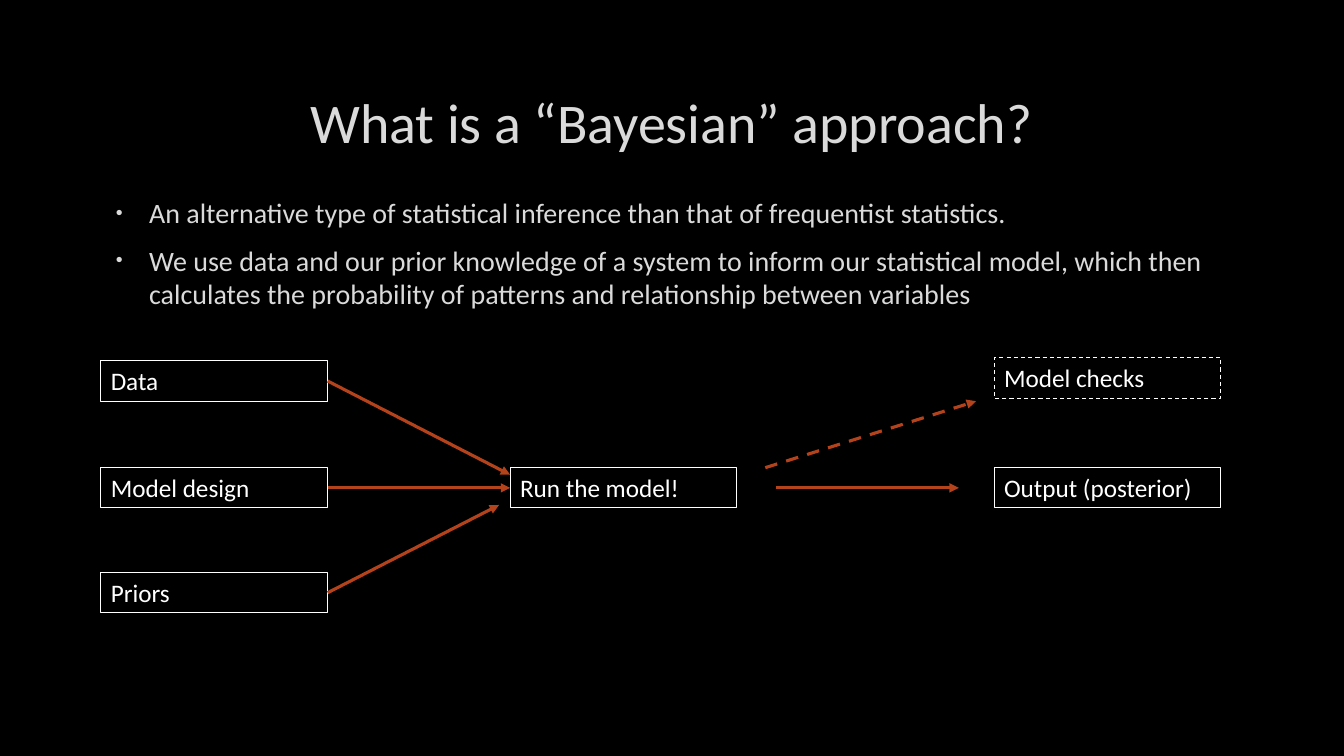
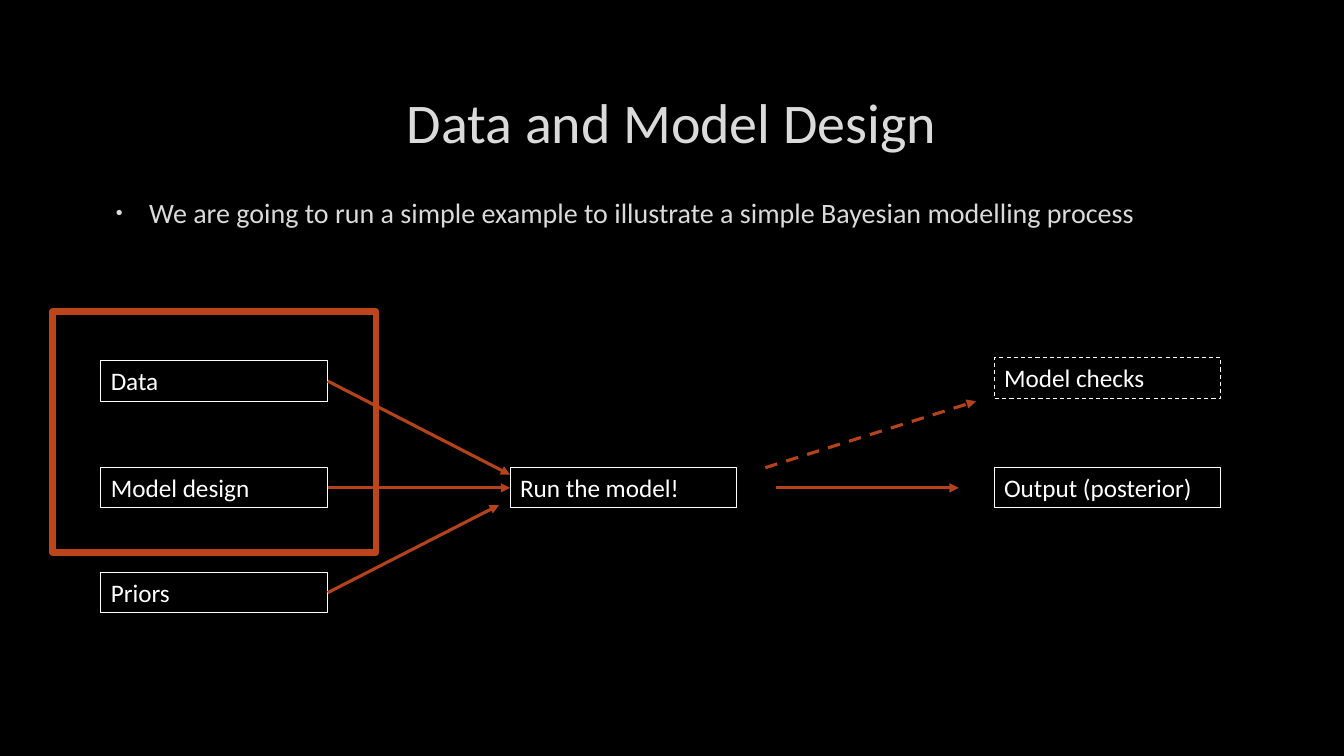
"""Build two slides that show the steps of a Bayesian model as a flow chart."""
from lxml.etree import SubElement
from pptx import Presentation
from pptx.dml.color import RGBColor
from pptx.enum.dml import MSO_LINE_DASH_STYLE as Dash
from pptx.enum.shapes import MSO_CONNECTOR as Connector, MSO_SHAPE as Shape
from pptx.enum.text import MSO_ANCHOR as Anchor, MSO_AUTO_SIZE as AutoSize, PP_ALIGN as Align
from pptx.oxml.ns import qn
from pptx.util import Inches, Pt

COLOURS = {
    "background": "000000",
    "text": "DADADA",
    "box": "FFFFFF",
    "arrow": "B4421A",
    "highlight": "BC451B",
}
FONT = "Calibri"
LEFT, TEXT_WIDTH = 1, 11.32
COLUMNS = (LEFT, 5.06, 9.86)
ROWS = (3.58, 4.64, 5.68)
BOX_WIDTH, BOX_HEIGHT = 2.25, 0.4
MIDDLE = ROWS[1] + BOX_HEIGHT / 2
RIGHT_SIDE, LEFT_SIDE = 3, 1

BOXES = [
    ("Data", COLUMNS[0], ROWS[0], None),
    ("Model design", COLUMNS[0], ROWS[1], None),
    ("Priors", COLUMNS[0], ROWS[2], None),
    ("Run the model!", COLUMNS[1], ROWS[1], None),
    ("Output (posterior)", COLUMNS[2], ROWS[1], None),
    ("Model checks", COLUMNS[2], 3.55, Dash.DASH),
]
ARROWS = [
    ("Priors", (4.95, 5.01), None),
    ("Data", (COLUMNS[1], 4.71), None),
    ("Model design", "Run the model!", None),
    ((7.7, MIDDLE), (9.51, MIDDLE), None),
    ((7.59, ROWS[1]), (9.68, 3.98), Dash.DASH),
]
SLIDES = [
    ("What is a “Bayesian” approach?",
     ["An alternative type of statistical inference than that of frequentist statistics.",
      "We use data and our prior knowledge of a system to inform our statistical model, "
      "which then calculates the probability of patterns and relationship between variables"],
     None),
    ("Data and Model Design",
     ["We are going to run a simple example to illustrate a simple Bayesian modelling process"],
     (0.52, 3.09, 3.21, 2.39)),
]


def set_font(paragraph, size, colour):
    paragraph.font.name = FONT
    paragraph.font.size = Pt(size)
    paragraph.font.color.rgb = RGBColor.from_string(COLOURS[colour])


def add_outline(slide, place, colour, width):
    shape = slide.shapes.add_shape(Shape.RECTANGLE, *map(Inches, place))
    shape.shadow.inherit = False
    shape.fill.background()
    shape.line.color.rgb = RGBColor.from_string(COLOURS[colour])
    shape.line.width = Pt(width)
    return shape


presentation = Presentation()
presentation.slide_width, presentation.slide_height = Inches(13.33), Inches(7.5)
background = presentation.slide_master.background.fill
background.solid()
background.fore_color.rgb = RGBColor.from_string(COLOURS["background"])

for title, bullets, highlight in SLIDES:
    slide = presentation.slides.add_slide(presentation.slide_layouts[6])

    place = (LEFT, 0.67, TEXT_WIDTH, 1.06)
    frame = slide.shapes.add_textbox(*map(Inches, place)).text_frame
    frame.word_wrap = True
    frame.vertical_anchor = Anchor.MIDDLE
    frame.text = title
    frame.paragraphs[0].alignment = Align.CENTER
    set_font(frame.paragraphs[0], 40, "text")

    place = (LEFT, 1.89, TEXT_WIDTH, 4.44)
    frame = slide.shapes.add_textbox(*map(Inches, place)).text_frame
    frame.word_wrap = True
    frame.text = "\n".join(bullets)
    for number, paragraph in enumerate(frame.paragraphs):
        properties = paragraph._p.get_or_add_pPr()
        properties.set("marL", str(Inches(0.38)))
        properties.set("indent", str(Inches(-0.33)))
        bullet_colour = SubElement(properties, qn("a:buClr"))
        SubElement(bullet_colour, qn("a:srgbClr"), val=COLOURS["text"])
        SubElement(properties, qn("a:buSzPct"), val="70000")
        SubElement(properties, qn("a:buFont"), typeface="Arial")
        SubElement(properties, qn("a:buChar"), char="•")
        paragraph.space_before = Pt(4 if number else 0)
        paragraph.space_after = Pt(6)
        set_font(paragraph, 20, "text")

    boxes = {}
    for label, left, top, dash in BOXES:
        shape = add_outline(slide, (left, top, BOX_WIDTH, BOX_HEIGHT), "box", 0.75)
        shape.line.dash_style = dash
        frame = shape.text_frame
        frame.word_wrap = True
        frame.auto_size = AutoSize.SHAPE_TO_FIT_TEXT
        frame.vertical_anchor = Anchor.TOP
        frame.text = label
        frame.paragraphs[0].alignment = Align.LEFT
        set_font(frame.paragraphs[0], 18, "box")
        boxes[label] = shape

    for start, end, dash in ARROWS:
        points = [(0, 0) if point in boxes else point for point in (start, end)]
        arrow = slide.shapes.add_connector(
            Connector.STRAIGHT, *(Inches(length) for point in points for length in point))
        if start in boxes:
            arrow.begin_connect(boxes[start], RIGHT_SIDE)
        if end in boxes:
            arrow.end_connect(boxes[end], LEFT_SIDE)
        arrow.line.color.rgb = RGBColor.from_string(COLOURS["arrow"])
        arrow.line.width = Pt(2.25)
        arrow.line.dash_style = dash
        SubElement(arrow.line._get_or_add_ln(), qn("a:tailEnd"), type="triangle")
        SubElement(arrow._element.spPr, qn("a:effectLst"))

    if highlight:
        add_outline(slide, highlight, "highlight", 4.5)

presentation.save("out.pptx")
